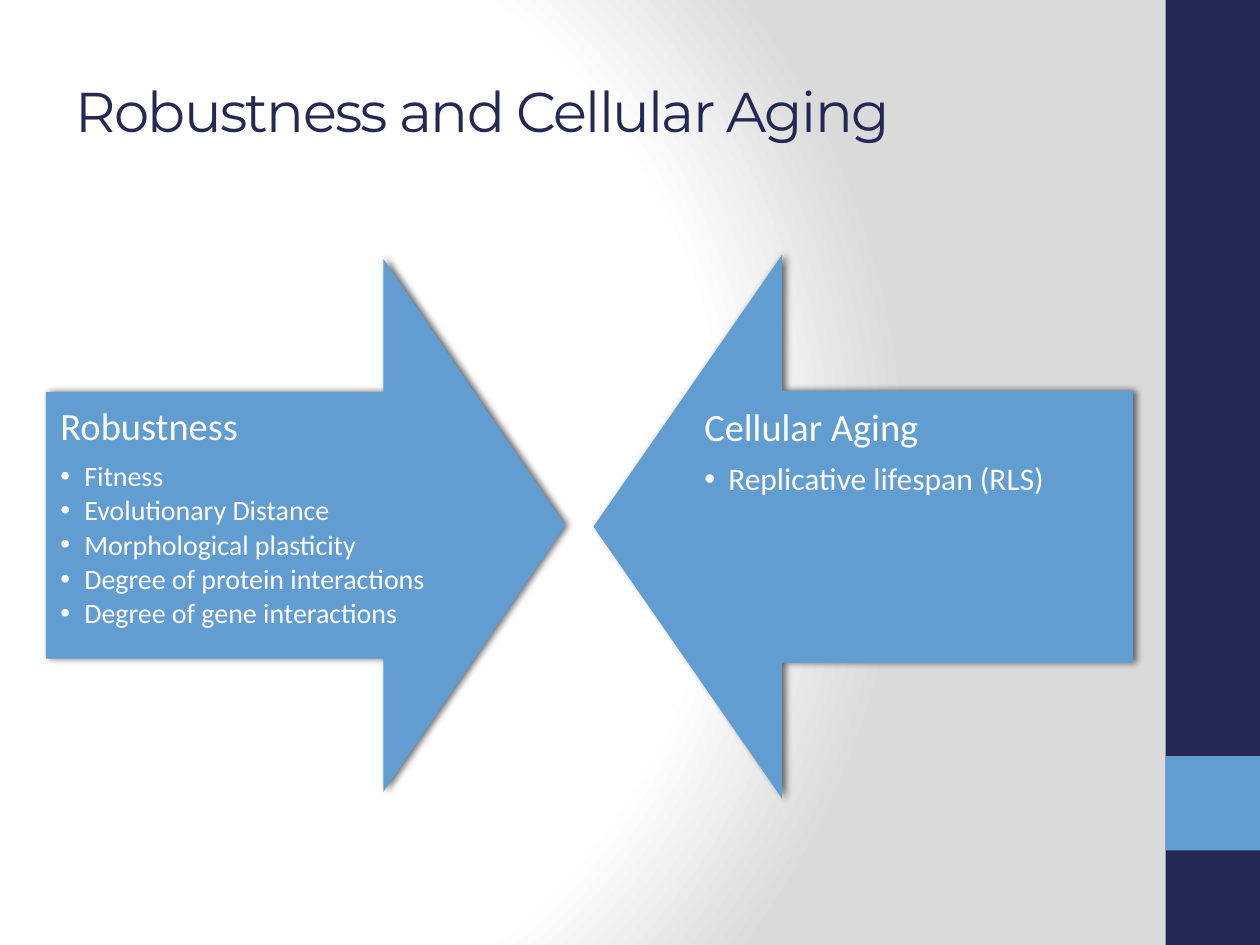
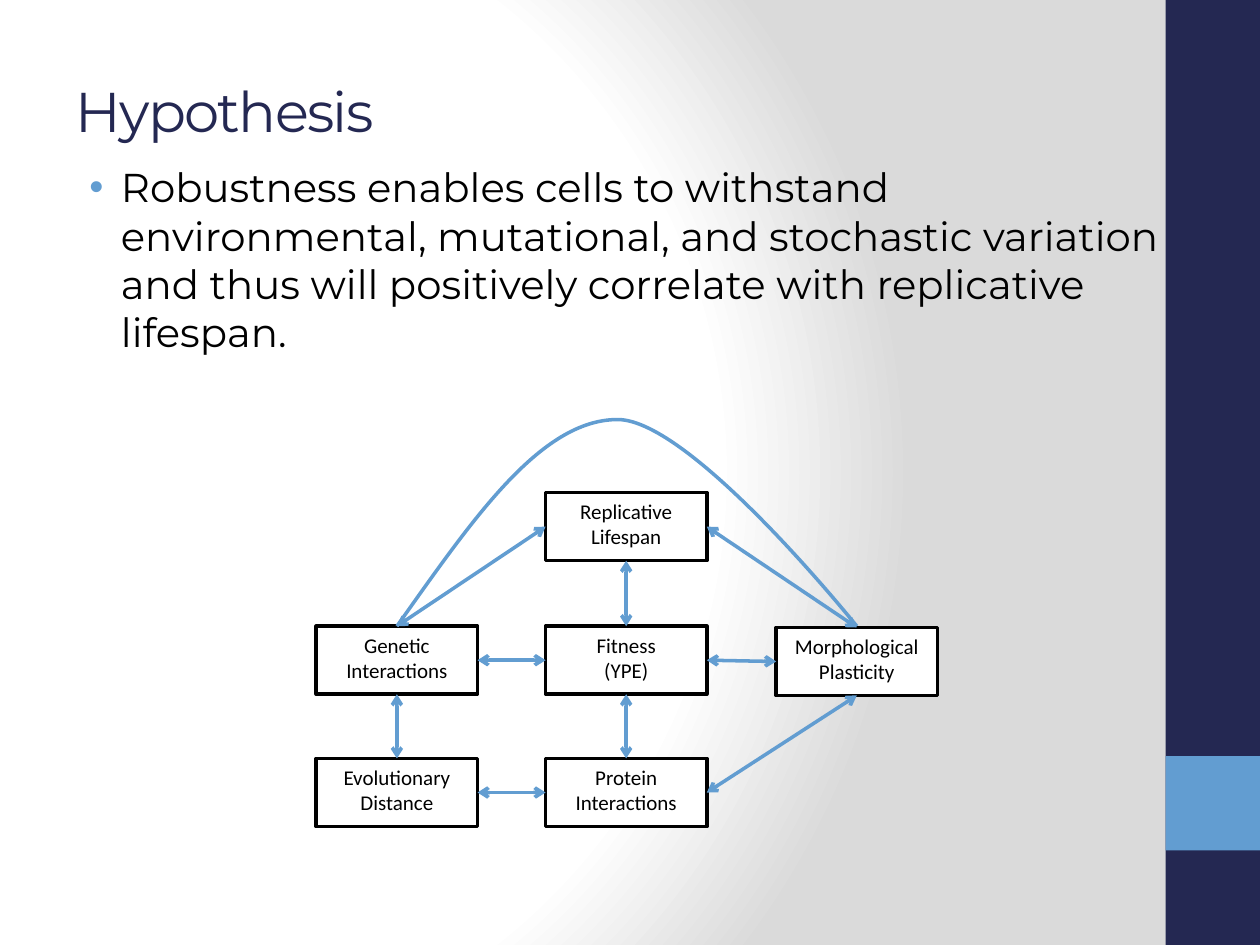
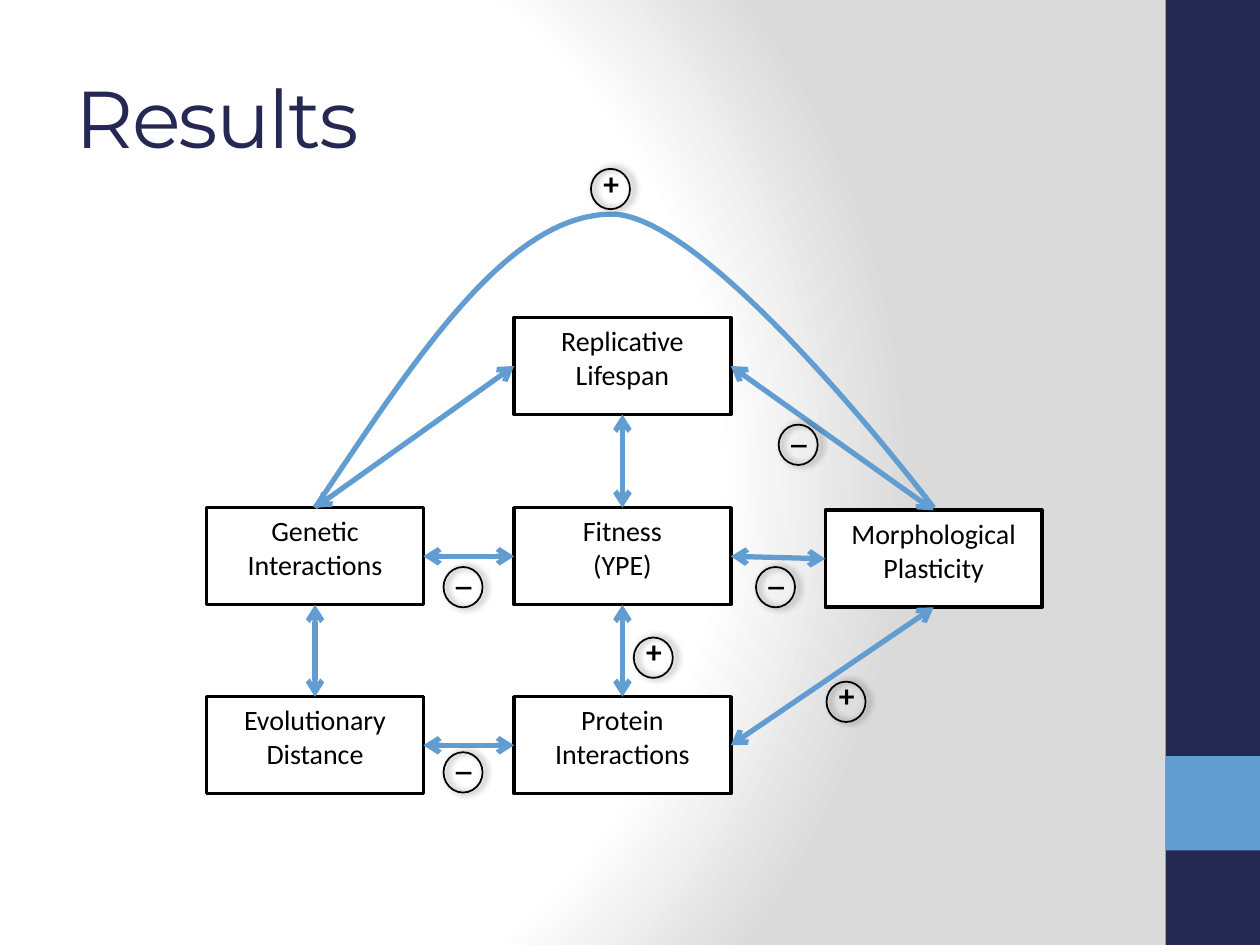
from lxml.etree import SubElement
from pptx import Presentation
from pptx.dml.color import RGBColor
from pptx.enum.shapes import MSO_CONNECTOR, MSO_SHAPE
from pptx.enum.text import MSO_ANCHOR, MSO_AUTO_SIZE, PP_ALIGN
from pptx.oxml import parse_xml
from pptx.oxml.ns import nsdecls, qn
from pptx.util import Inches, Pt

COLORS = {
    "navy": "242852",
    "blue": "629DD1",
    "white": "FFFFFF",
    "gray": "DADADA",
    "black": "000000",
}
HEADING_FONT = "Montserrat"
TEXT_FONT = "Calibri"
TITLE_ONLY, TITLE_AND_BODY = 5, 1
TOP, LEFT, BOTTOM, RIGHT = range(4)

BANDS = [("navy", (9.25, 0, 0.75, 7.5)), ("blue", (9.25, 6, 0.75, 0.75))]

ARROWS = [
    {
        "box": (0.31, 2.11, 4.23, 4.12), "rotation": 270,
        "text_box": (0.36, 3.11, 3.4, 2.11), "inset": 0.12,
        "heading": "Robustness", "item_size": 16,
        "items": [
            "Fitness",
            "Evolutionary Distance",
            "Morphological plasticity",
            "Degree of protein interactions",
            "Degree of gene interactions",
        ],
    },
    {
        "box": (4.69, 2.04, 4.32, 4.28), "rotation": 90,
        "text_box": (5.45, 3.1, 3.53, 2.16), "inset": 0.14,
        "heading": "Cellular Aging", "item_size": 18,
        "items": ["Replicative lifespan (RLS)"],
    },
]

HYPOTHESIS = (
    "Robustness enables cells to withstand environmental, mutational, and "
    "stochastic variation and thus will positively correlate with replicative lifespan."
)

NODES = {
    "morphology": ("Morphological Plasticity", 2, 1),
    "distance": ("Evolutionary Distance", 0, 2),
    "genetic": ("Genetic Interactions", 0, 1),
    "protein": ("Protein Interactions", 1, 2),
    "fitness": ("Fitness\n(YPE)", 1, 1),
    "lifespan": ("Replicative Lifespan", 1, 0),
}
LINKS = [
    ("fitness", RIGHT, "morphology", LEFT),
    ("genetic", RIGHT, "fitness", LEFT),
    ("genetic", BOTTOM, "distance", TOP),
    ("distance", RIGHT, "protein", LEFT),
    ("protein", RIGHT, "morphology", BOTTOM),
    ("genetic", TOP, "lifespan", LEFT),
    ("lifespan", RIGHT, "morphology", TOP),
    ("lifespan", BOTTOM, "fitness", TOP),
    ("fitness", BOTTOM, "protein", TOP),
]
ARC = [(0.16, 0.5), (0.31, 1), (0.48, 1), (0.64, 1), (1, 0), (1, 0)]

SMALL_DIAGRAM = {
    "columns": (2.51, 4.33, 6.16), "rows": (3.91, 4.97, 6.02), "node": (1.28, 0.54),
    "drop": 0.01, "size": 12, "line": 2, "rise": 1.64,
}
LARGE_DIAGRAM = {
    "columns": (1.64, 4.08, 6.55), "rows": (2.52, 4.03, 5.53), "node": (1.72, 0.77),
    "drop": 0.02, "size": 16, "line": 3, "rise": 2.33,
}

SIGNS = [
    ("_", 6.18, 3.37),
    ("+", 4.69, 1.34),
    ("+", 6.56, 5.41),
    ("+", 5.03, 5.06),
    ("_", 6, 4.5),
    ("_", 3.52, 5.97),
    ("_", 3.52, 4.5),
]
SIGN_LIFT = {"_": 0.15, "+": 0.09}


def rgb(name):
    return RGBColor.from_string(COLORS[name])


def inches(values):
    return [Inches(value) for value in values]


def add_color(parent, name):
    return SubElement(parent, qn("a:srgbClr"), val=COLORS[name])


def write(frame, text, size=12, font=TEXT_FONT, color="black", bold=False, align=PP_ALIGN.LEFT,
          spacing=None, after=None, before=None, tracking=None, bullet=None, indent=(0, 0)):
    for line in text.split("\n"):
        paragraph = frame.add_paragraph() if frame.text else frame.paragraphs[0]
        paragraph.alignment = align
        paragraph.line_spacing = spacing
        if after is not None:
            paragraph.space_after = Pt(after)
        if before is not None:
            paragraph.space_before = Pt(before)
        if bullet:
            properties = paragraph._p.get_or_add_pPr()
            margin, hanging = inches(indent)
            properties.set("marL", str(margin))
            properties.set("indent", str(hanging))
            add_color(SubElement(properties, qn("a:buClr")), bullet)
            SubElement(properties, qn("a:buFont"), typeface="Arial")
            SubElement(properties, qn("a:buChar"), char="•")
        run = paragraph.add_run()
        run.text = line
        run.font.size = Pt(size)
        run.font.name = font
        run.font.bold = bold
        run.font.color.rgb = rgb(color)
        if tracking is not None:
            run.font._element.set("spc", str(tracking * 100))


def style_frame(frame, anchor=MSO_ANCHOR.TOP, inset=None):
    frame.word_wrap = True
    frame.auto_size = MSO_AUTO_SIZE.NONE
    frame.vertical_anchor = anchor
    if inset is not None:
        frame.margin_left = frame.margin_top = Inches(inset)
        frame.margin_right = frame.margin_bottom = Inches(inset)
    return frame


def place(shape, box):
    shape.left, shape.top, shape.width, shape.height = inches(box)


def add_text_box(slide, box, inset=None):
    return style_frame(slide.shapes.add_textbox(*inches(box)).text_frame, inset=inset)


def add_shape(slide, kind, box, fill=None, line=None, width=1, shadow=False):
    shape = slide.shapes.add_shape(kind, *inches(box))
    style_outline(shape, fill, line, width)
    if shadow:
        effects = shape.element.spPr.find(qn("a:effectLst"))
        outer = SubElement(effects, qn("a:outerShdw"), blurRad=str(Pt(4)),
                           dist=str(Pt(2)), dir="0", rotWithShape="0")
        SubElement(add_color(outer, "black"), qn("a:alpha"), val="60000")
    return shape


def style_outline(shape, fill, line, width):
    if fill:
        shape.fill.solid()
        shape.fill.fore_color.rgb = rgb(fill)
    else:
        shape.fill.background()
    if line:
        shape.line.color.rgb = rgb(line)
        shape.line.width = Pt(width)
    else:
        shape.line.fill.background()
    shape.shadow.inherit = False


def add_slide(presentation, title, layout=TITLE_ONLY, box=(0.5, 0.25, 9, 1.25), size=32):
    slide = presentation.slides.add_slide(presentation.slide_layouts[layout])
    place(slide.shapes.title, box)
    frame = style_frame(slide.shapes.title.text_frame, anchor=MSO_ANCHOR.MIDDLE)
    write(frame, title, size=size, font=HEADING_FONT, color="navy", tracking=-1)
    return slide


def style_master(master, slide):
    stops = "".join(
        f'<a:gs pos="{position}000"><a:srgbClr val="{COLORS[name]}"/></a:gs>'
        for position, name in [(0, "white"), (75, "white"), (100, "gray")]
    )
    background = parse_xml(
        f'<p:bg {nsdecls("p", "a")}><p:bgPr><a:gradFill rotWithShape="1">'
        f'<a:gsLst>{stops}</a:gsLst><a:path path="circle">'
        '<a:fillToRect l="20000" t="50000" r="100000" b="50000"/></a:path>'
        '</a:gradFill><a:effectLst/></p:bgPr></p:bg>'
    )
    content = master.element.cSld
    for previous in content.findall(qn("p:bg")):
        content.remove(previous)
    content.insert(0, background)
    for index, (color, box) in enumerate(BANDS):
        band = add_shape(slide, MSO_SHAPE.RECTANGLE, box, fill=color)
        master.shapes.element.insert(2 + index, band.element)


def add_big_arrow(slide, arrow):
    shape = add_shape(slide, MSO_SHAPE.DOWN_ARROW, arrow["box"], fill="blue", shadow=True)
    shape.rotation = arrow["rotation"]
    shape.adjustments[0] = 0.5
    shape.adjustments[1] = 0.35
    frame = add_text_box(slide, arrow["text_box"], inset=arrow["inset"])
    write(frame, arrow["heading"], size=22, color="white", spacing=0.9, after=7.7)
    size = arrow["item_size"]
    write(frame, "\n".join(arrow["items"]), size=size, color="white", spacing=0.9,
          after=size * 0.15, bullet="white", indent=(0.19, -0.19))


def add_link(slide, start, start_side, end, end_side, width):
    connector = slide.shapes.add_connector(MSO_CONNECTOR.STRAIGHT, 0, 0, 0, 0)
    connector.begin_connect(start, start_side)
    connector.end_connect(end, end_side)
    connector.line.color.rgb = rgb("blue")
    connector.line.width = Pt(width)
    line = connector.line._get_or_add_ln()
    for end_tag in ("a:headEnd", "a:tailEnd"):
        SubElement(line, qn(end_tag), type="arrow")
    SubElement(connector.element.spPr, qn("a:effectLst"))


def add_arc(slide, start, end, rise, width):
    left = start.left + start.width // 2
    span = end.left + end.width // 2 - left
    points = [(int(left + x * span), int(start.top - y * Inches(rise))) for x, y in ARC]
    builder = slide.shapes.build_freeform(left, start.top)
    builder.add_line_segments(points, close=False)
    shape = builder.convert_to_shape()
    style_outline(shape, None, "blue", width)
    outline = next(shape.element.iter(qn("a:path")))
    segments = outline.findall(qn("a:lnTo"))
    for first in range(0, len(segments), 3):
        curve = SubElement(outline, qn("a:cubicBezTo"))
        for segment in segments[first:first + 3]:
            curve.append(segment[0])
            outline.remove(segment)


def add_diagram(slide, diagram):
    nodes = {}
    for name, (label, column, row) in NODES.items():
        top = diagram["rows"][row] + (diagram["drop"] if column == 2 else 0)
        box = (diagram["columns"][column], top, *diagram["node"])
        node = add_shape(slide, MSO_SHAPE.RECTANGLE, box, fill="white", line="black", width=2)
        write(style_frame(node.text_frame), label, size=diagram["size"], align=PP_ALIGN.CENTER)
        nodes[name] = node
    for start, start_side, end, end_side in LINKS:
        add_link(slide, nodes[start], start_side, nodes[end], end_side, diagram["line"])
    add_arc(slide, nodes["genetic"], nodes["morphology"], diagram["rise"], diagram["line"])


def add_sign(slide, sign, left, top):
    add_shape(slide, MSO_SHAPE.OVAL, (left, top, 0.31, 0.32), line="black", shadow=True)
    frame = add_text_box(slide, (left, top - SIGN_LIFT[sign], 0.38, 0.4))
    write(frame, sign, size=18, bold=True)


def main():
    presentation = Presentation()
    presentation.slide_width, presentation.slide_height = inches((10, 7.5))

    aging = add_slide(presentation, "Robustness and Cellular Aging")
    style_master(presentation.slide_master, aging)
    for arrow in ARROWS:
        add_big_arrow(aging, arrow)

    hypothesis = add_slide(presentation, "Hypothesis", layout=TITLE_AND_BODY)
    body = hypothesis.placeholders[1]
    place(body, (0.48, 1.24, 9, 1.79))
    write(style_frame(body.text_frame), HYPOTHESIS, size=23, font=HEADING_FONT,
          before=4.6, bullet="blue", indent=(0.38, -0.25))
    add_diagram(hypothesis, SMALL_DIAGRAM)

    results = add_slide(presentation, "Results", box=(0.5, 0.3, 8.33, 1.25), size=46)
    add_diagram(results, LARGE_DIAGRAM)
    for sign, left, top in SIGNS:
        add_sign(results, sign, left, top)

    presentation.save("out.pptx")


if __name__ == "__main__":
    main()
